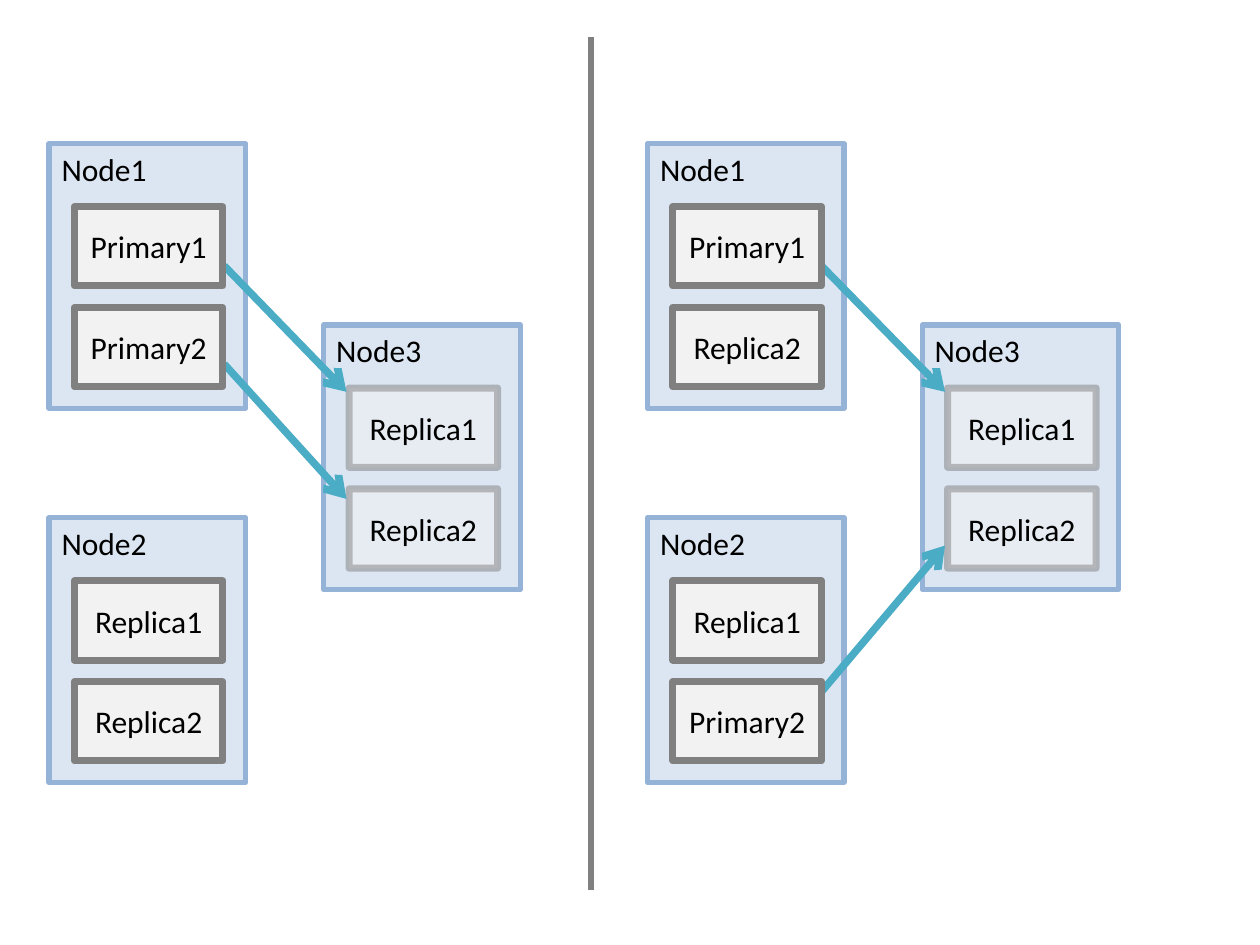
from lxml import etree
from pptx import Presentation
from pptx.dml.color import RGBColor
from pptx.enum.shapes import MSO_CONNECTOR as Connector, MSO_SHAPE as Shape
from pptx.enum.text import MSO_ANCHOR as Anchor, PP_ALIGN as Align
from pptx.oxml.ns import qn
from pptx.util import Inches, Pt

COLORS = {
    "node": "DCE6F2",
    "node_border": "95B3D7",
    "shard": "F2F2F2",
    "gray": "808080",
    "arrow": "4BACC6",
    "text": "000000",
}
NODE_SIZE = (1.56, 2.1)
SHARD_SIZE = (1.18, 0.63)
SHARD_INSET = (0.2, 0.5)
SHARD_PITCH = 0.8
NODE_OFFSETS = {"Node1": (0, 0), "Node3": (2.18, 1.44), "Node2": (0, 2.97)}
PANELS = [
    {
        "left": 0.39,
        "shards": {
            "Node1": ["Primary1", "Primary2"],
            "Node2": ["Replica1", "Replica2"],
            "Node3": ["Replica1", "Replica2"],
        },
        "arrows": [((1.39, 1.75), (2.36, 2.82)), ((1.39, 0.97), (2.36, 1.97))],
    },
    {
        "left": 5.14,
        "shards": {
            "Node1": ["Primary1", "Replica2"],
            "Node2": ["Replica1", "Primary2"],
            "Node3": ["Replica1", "Replica2"],
        },
        "arrows": [((1.38, 4.35), (2.36, 3.19)), ((1.38, 0.97), (2.36, 1.97))],
    },
]
PANEL_TOP = 1.14


def rgb(name):
    return RGBColor.from_string(COLORS[name])


def make_translucent(fill_parent):
    for color in fill_parent.iter(qn("a:srgbClr")):
        etree.SubElement(color, qn("a:alpha"), val="50000")


def add_box(slide, left, top, size, label, fill, border, weight, anchor, align):
    box = slide.shapes.add_shape(
        Shape.RECTANGLE, Inches(left), Inches(top), Inches(size[0]), Inches(size[1]))
    box.shadow.inherit = False
    box.fill.solid()
    box.fill.fore_color.rgb = rgb(fill)
    box.line.color.rgb = rgb(border)
    box.line.width = Pt(weight)
    frame = box.text_frame
    frame.word_wrap = True
    frame.vertical_anchor = anchor
    paragraph = frame.paragraphs[0]
    paragraph.alignment = align
    run = paragraph.add_run()
    run.text = label
    run.font.name = "Calibri"
    run.font.size = Pt(18)
    run.font.color.rgb = rgb("text")
    return box


def add_line(slide, start, end, color, weight, arrow=False):
    line = slide.shapes.add_connector(
        Connector.STRAIGHT, *[Inches(value) for value in (*start, *end)])
    line.line.color.rgb = rgb(color)
    line.line.width = Pt(weight)
    if arrow:
        etree.SubElement(line.line._get_or_add_ln(), qn("a:tailEnd"), type="arrow")
    etree.SubElement(line._element.spPr, qn("a:effectLst"))


def add_node(slide, left, top, label):
    add_box(slide, left, top, NODE_SIZE, label, "node", "node_border", 3,
            Anchor.TOP, Align.LEFT)


def add_shards(slide, node_left, node_top, labels, faded):
    for row, label in enumerate(labels):
        shard = add_box(
            slide, node_left + SHARD_INSET[0],
            node_top + SHARD_INSET[1] + row * SHARD_PITCH,
            SHARD_SIZE, label, "shard", "gray", 4, Anchor.MIDDLE, Align.CENTER)
        if faded:
            make_translucent(shard._element.spPr)


def add_panel(slide, left, top, shards, arrows):
    corners = {node: (left + dx, top + dy) for node, (dx, dy) in NODE_OFFSETS.items()}
    for node, corner in corners.items():
        add_node(slide, *corner, node)
    add_shards(slide, *corners["Node3"], shards["Node3"], faded=True)
    for start, end in arrows:
        add_line(slide, (left + start[0], top + start[1]),
                 (left + end[0], top + end[1]), "arrow", 4.25, arrow=True)
    for node in ("Node1", "Node2"):
        add_shards(slide, *corners[node], shards[node], faded=False)


def main():
    deck = Presentation()
    deck.slide_width, deck.slide_height = Inches(10), Inches(7.5)
    slide = deck.slides.add_slide(deck.slide_layouts[6])
    add_line(slide, (4.69, 0.29), (4.69, 7.06), "gray", 3)
    for panel in PANELS:
        add_panel(slide, panel["left"], PANEL_TOP, panel["shards"], panel["arrows"])
    deck.save("out.pptx")


main()
